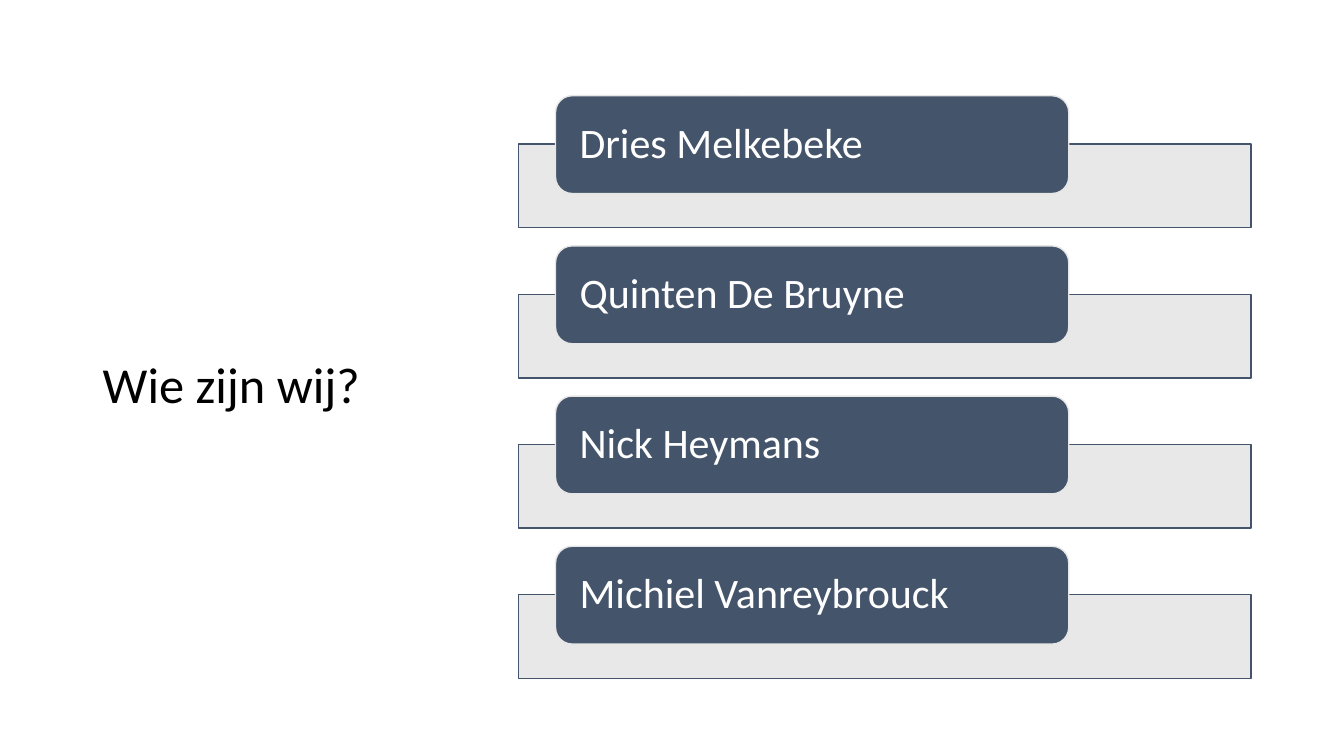
"""Build the team introduction slide with four name cards."""
from dataclasses import dataclass

from lxml import etree
from pptx import Presentation
from pptx.dml.color import RGBColor
from pptx.enum.shapes import MSO_SHAPE
from pptx.enum.text import MSO_ANCHOR, PP_ALIGN
from pptx.oxml.ns import qn
from pptx.shapes.autoshape import Shape
from pptx.slide import Slide
from pptx.util import Emu, Pt

RECT = MSO_SHAPE.RECTANGLE
ROUNDED = MSO_SHAPE.ROUNDED_RECTANGLE
MIDDLE = MSO_ANCHOR.MIDDLE
LEFT = PP_ALIGN.LEFT

PX = 9144
FONT = "Calibri"
SLATE = RGBColor(0x44, 0x54, 0x6A)
PALE = RGBColor(0xE7, 0xE6, 0xE6)
WHITE = RGBColor(0xFF, 0xFF, 0xFF)
BLACK = RGBColor(0x00, 0x00, 0x00)

NAMES = ["Dries Melkebeke", "Quinten De Bruyne", "Nick Heymans", "Michiel Vanreybrouck"]
PITCH = 149


@dataclass(frozen=True)
class Box:
    left: int
    top: int
    width: int
    height: int

    def down(self, distance: int) -> "Box":
        return Box(self.left, self.top + distance, self.width, self.height)

    def emu(self) -> list[Emu]:
        return [px(n) for n in (self.left, self.top, self.width, self.height)]


TITLE = Box(92, 164, 352, 440)
BAR = Box(514, 143, 727, 83)
CARD = Box(551, 95, 509, 97)


def px(n: int) -> Emu:
    return Emu(n * PX)


def write(sp: Shape, text: str, size: int, color: RGBColor, side: int, edge: int) -> None:
    tf = sp.text_frame
    tf.word_wrap = True
    tf.vertical_anchor = MIDDLE
    tf.margin_left = tf.margin_right = px(side)
    tf.margin_top = tf.margin_bottom = px(edge)
    tf.text = text
    p = tf.paragraphs[0]
    p.alignment = LEFT
    p.line_spacing = 0.9
    font = p.runs[0].font
    font.name, font.size = FONT, Pt(size)
    font.color.rgb = color


def add_box(s: Slide, kind: MSO_SHAPE, box: Box, fill: RGBColor, line: RGBColor) -> Shape:
    sp = s.shapes.add_shape(kind, *box.emu())
    sp.shadow.inherit = False
    sp.fill.solid()
    sp.fill.fore_color.rgb = fill
    sp.line.color.rgb = line
    sp.line.width = Pt(1)
    return sp


def set_opacity(sp: Shape, percent: int) -> None:
    color = sp.fill._xPr.find(qn("a:solidFill")).find(qn("a:srgbClr"))
    etree.SubElement(color, qn("a:alpha")).set("val", str(percent * 1000))


def add_member(s: Slide, name: str, offset: int) -> None:
    bar = add_box(s, RECT, BAR.down(offset), PALE, SLATE)
    set_opacity(bar, 90)
    card = add_box(s, ROUNDED, CARD.down(offset), SLATE, PALE)
    card.adjustments[0] = 0.17
    write(card, name, 30, WHITE, 19, 0)


def main() -> None:
    prs = Presentation()
    prs.slide_width, prs.slide_height = px(1333), px(750)
    s = prs.slides.add_slide(prs.slide_layouts[6])
    title = s.shapes.add_textbox(*TITLE.emu())
    write(title, "Wie zijn wij?", 36, BLACK, 10, 5)
    for i, name in enumerate(NAMES):
        add_member(s, name, i * PITCH)
    prs.save("out.pptx")


if __name__ == "__main__":
    main()
